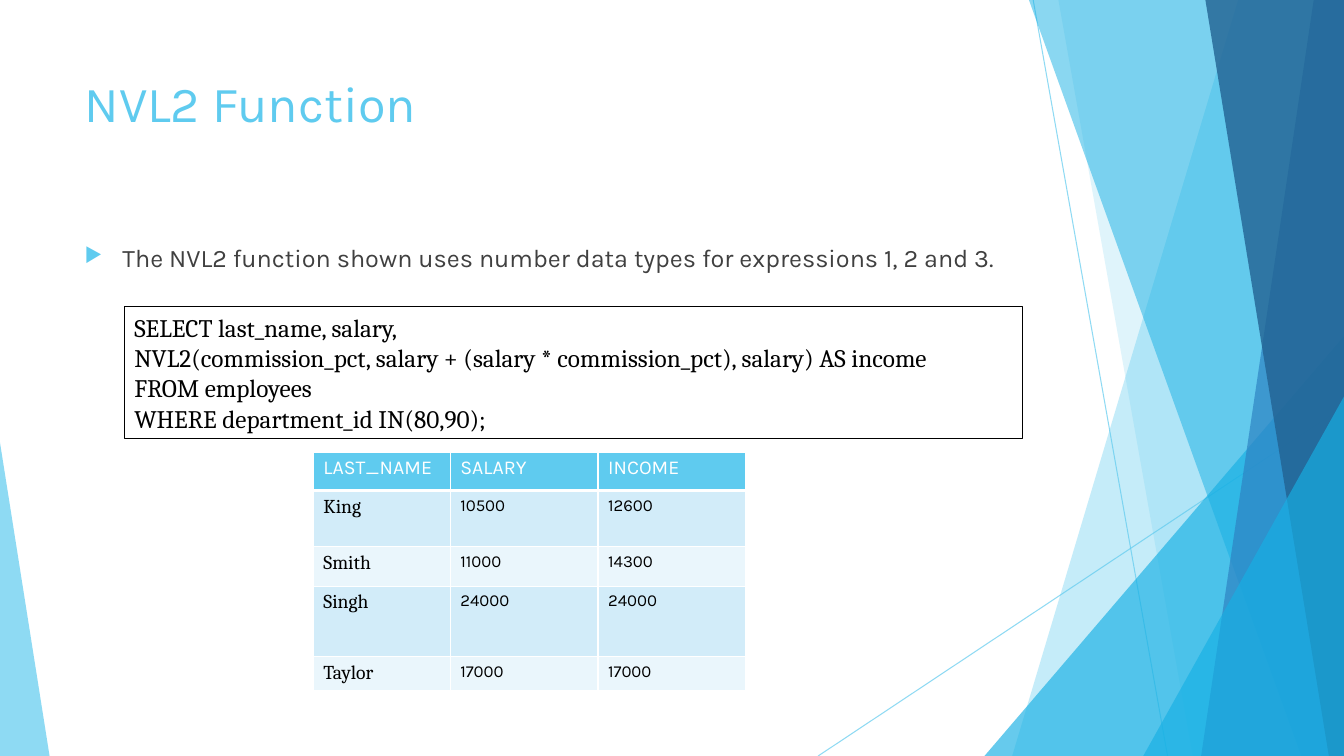
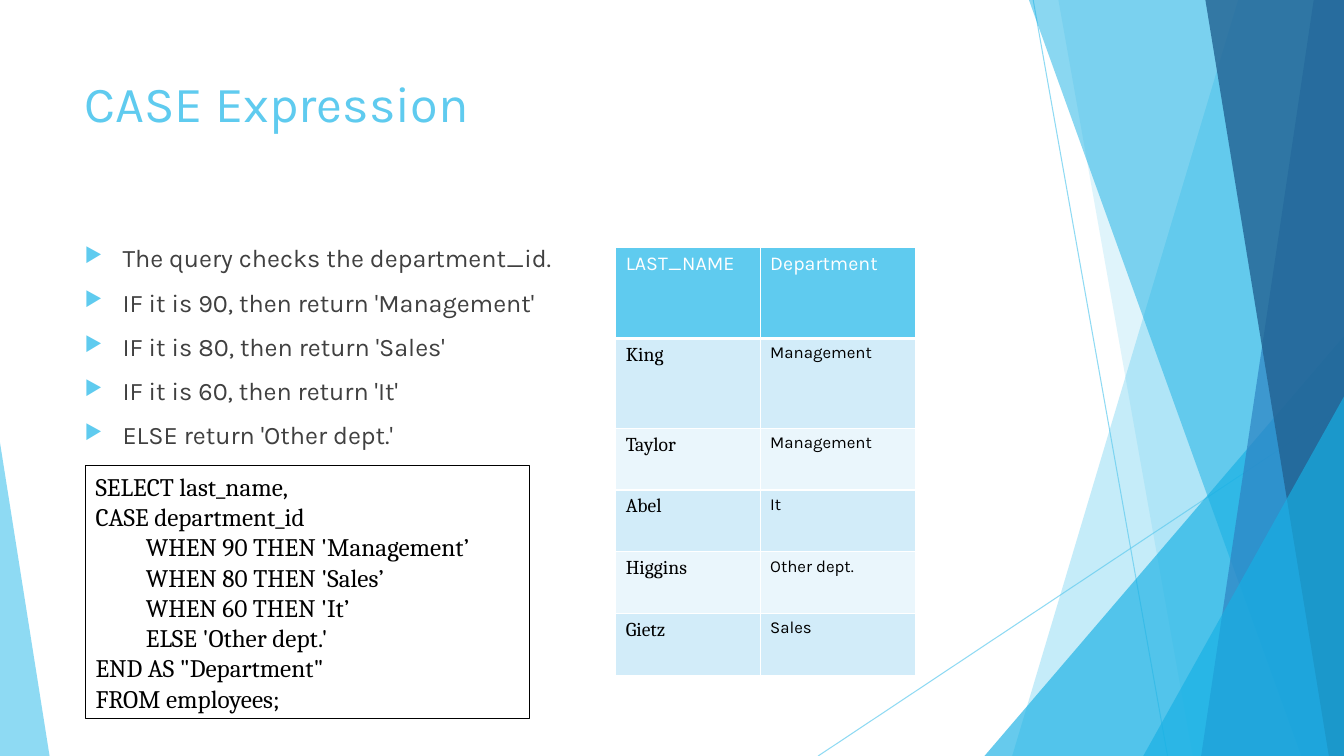
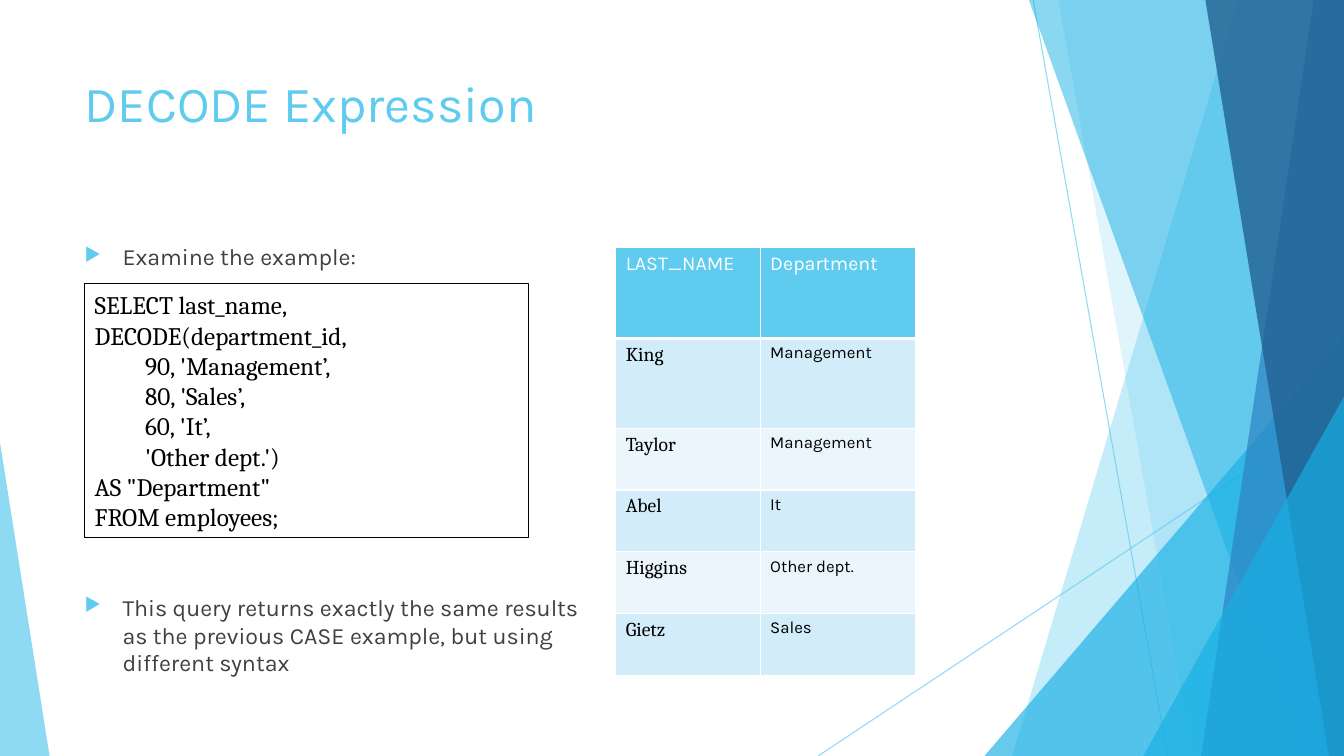
import lxml.etree
import pptx
import pptx.dml.color
import pptx.enum.shapes
import pptx.enum.text
import pptx.oxml.ns
import pptx.util


class Theme:
    sky, azure, blue, navy = "5FCBEF", "17B0E4", "2E83C3", "226292"
    white, black, body = "FFFFFF", "000000", "404040"
    row_fills = ("EAF6FC", "D2ECF9")
    sans, serif = "Karla", "Cambria"
    title_size, text_size, small_text_size = 36, 18, 16.6
    label_size, value_size = 14, 12
    hairline, border, header_rule = 0.75, 1, 3


# Grid of 160 square columns by 90 rows
COLUMNS, ROWS = 160, 90
CELL = pptx.util.Inches(1 / 12)
qn = pptx.oxml.ns.qn
rgb = pptx.dml.color.RGBColor.from_string
shape_types = pptx.enum.shapes.MSO_SHAPE


def grid(*counts):
    return [pptx.util.Emu(round(count * CELL)) for count in counts]


def set_text(text_frame, lines, size, font, color):
    text_frame.word_wrap = True
    text_frame.text = "\n".join(lines)
    for paragraph in text_frame.paragraphs:
        paragraph.alignment = pptx.enum.text.PP_ALIGN.LEFT
        for run in paragraph.runs:
            run.font.size = pptx.util.Pt(size)
            run.font.name = font
            run.font.bold = False
            run.font.color.rgb = rgb(color)


# Shared background: lines as start and end, panels from back to front
background_lines = [(123, 0, 139, ROWS), (COLUMNS, 48.4, 97.4, ROWS)]
line_opacity = 70
# band: top left and bottom left columns; triangle: left, right, top, apex
background_panels = [
    ("band", (147.4, 120.5), Theme.sky, 36),
    ("band", (126, 142), Theme.sky, 20),
    ("triangle", (117.2, COLUMNS, 40, 1), Theme.azure, 66),
    ("band", (122.5, 154.9), Theme.azure, 50),
    ("band", (156.4, 143), Theme.blue, 70),
    ("band", (143.5, 158.2), Theme.navy, 80),
    ("triangle", (136.1, COLUMNS, 47.2, 1), Theme.azure, 66),
    ("triangle", (0, 5.9, 52.7, 0), Theme.sky, 70),
]

# Slide content
department_table = {
    "at": (73.3, 29.5),
    "columns": (17.2, 18.5),
    "rows": (10.8, 10.7) + (7.35,) * 4,
    "cells": [
        ("LAST_NAME", "Department"),
        ("King", "Management"),
        ("Taylor", "Management"),
        ("Abel", "It"),
        ("Higgins", "Other dept."),
        ("Gietz", "Sales"),
    ],
}
slides = [
    {
        "title": "NVL2 Function",
        "bullet_size": Theme.text_size,
        "bullet_boxes": [
            ((8.9, 28.3, 112.8, 5), [
                "The NVL2 function shown uses number data types for expressions 1, 2 and 3.",
            ]),
        ],
        "code_box": (14.8, 36.5, 106.9, 15.7),
        "code": [
            "SELECT last_name, salary,",
            "NVL2(commission_pct, salary + (salary * commission_pct), salary) AS income",
            "FROM employees",
            "WHERE department_id IN(80,90);",
        ],
        "table": {
            "at": (37.3, 53.8),
            "columns": (16.3, 17.6, 17.6),
            "rows": (4.6, 6.7, 4.7, 8.4, 3.2),
            "cells": [
                ("LAST_NAME", "SALARY", "INCOME"),
                ("King", "10500", "12600"),
                ("Smith", "11000", "14300"),
                ("Singh", "24000", "24000"),
                ("Taylor", "17000", "17000"),
            ],
        },
    },
    {
        "title": "CASE Expression",
        "bullet_size": Theme.text_size,
        "bullet_boxes": [
            ((8.9, 28.3, 62, 26), [
                "The query checks the department_id.",
                "IF it is 90, then return 'Management'",
                "IF it is 80, then return 'Sales'",
                "IF it is 60, then return 'It'",
                "ELSE return 'Other dept.'",
            ]),
        ],
        "code_box": (10.2, 55.4, 52.8, 30.2),
        "code": [
            "SELECT last_name,",
            "CASE department_id",
            "\tWHEN 90 THEN 'Management’",
            "\tWHEN 80 THEN 'Sales’",
            "\tWHEN 60 THEN 'It’",
            "\tELSE 'Other dept.'",
            'END AS "Department"',
            "FROM employees;",
        ],
        "table": department_table,
    },
    {
        "title": "DECODE Expression",
        "bullet_size": Theme.small_text_size,
        "bullet_boxes": [
            ((8.9, 28.3, 61.8, 5), ["Examine the example:"]),
            ((8.9, 70, 61.8, 11), [
                "This query returns exactly the same results as the previous "
                "CASE example, but using different syntax",
            ]),
        ],
        "code_box": (10.1, 33.8, 52.8, 30.2),
        "code": [
            "SELECT last_name,",
            "DECODE(department_id,",
            "\t90, 'Management’,",
            "\t80, 'Sales’,",
            "\t60, 'It’,",
            "\t'Other dept.')",
            'AS "Department"',
            "FROM employees;",
        ],
        "table": department_table,
    },
]

presentation = pptx.Presentation()
presentation.slide_width, presentation.slide_height = grid(COLUMNS, ROWS)

for content in slides:
    slide = presentation.slides.add_slide(presentation.slide_layouts[6])
    shapes = slide.shapes

    # Background lines
    translucent = []
    for ends in background_lines:
        connector = shapes.add_connector(
            pptx.enum.shapes.MSO_CONNECTOR.STRAIGHT, *grid(*ends))
        connector.line.color.rgb = rgb(Theme.sky)
        connector.line.width = pptx.util.Pt(Theme.hairline)
        lxml.etree.SubElement(connector.element.spPr, qn("a:effectLst"))
        translucent.append((connector, line_opacity))

    # Background panels
    for kind, geometry, color, opacity in background_panels:
        if kind == "band":
            top_left, bottom_left = geometry
            corners = [(COLUMNS, 0), (COLUMNS, ROWS), (bottom_left, ROWS)]
            outline = shapes.build_freeform(*grid(top_left, 0))
            outline.add_line_segments([grid(*corner) for corner in corners])
            panel = outline.convert_to_shape()
        else:
            left, right, top, apex = geometry
            panel = shapes.add_shape(
                shape_types.ISOSCELES_TRIANGLE,
                *grid(left, top, right - left, ROWS - top))
            panel.adjustments[0] = apex
        panel.shadow.inherit = False
        panel.fill.solid()
        panel.fill.fore_color.rgb = rgb(color)
        panel.line.fill.background()
        translucent.append((panel, opacity))

    # Opacity of lines and panels
    for shape, opacity in translucent:
        for color_element in shape.element.iter(qn("a:srgbClr")):
            lxml.etree.SubElement(
                color_element, qn("a:alpha"), val=str(opacity * 1000))

    # Title
    title = shapes.add_textbox(*grid(8.9, 8, 112.8, 17.3))
    set_text(title.text_frame, [content["title"]],
             Theme.title_size, Theme.sans, Theme.sky)

    # Bullets
    for position, lines in content["bullet_boxes"]:
        text_frame = shapes.add_textbox(*grid(*position)).text_frame
        set_text(text_frame, lines,
                 content["bullet_size"], Theme.sans, Theme.body)
        indent = grid(4.5)[0]
        for index, paragraph in enumerate(text_frame.paragraphs):
            paragraph.space_before = pptx.util.Pt(10 if index else 0)
            properties = paragraph._p.get_or_add_pPr()
            properties.set("marL", str(indent))
            properties.set("indent", str(-indent))
            bullet_color = lxml.etree.SubElement(properties, qn("a:buClr"))
            lxml.etree.SubElement(
                bullet_color, qn("a:srgbClr"), val=Theme.sky)
            lxml.etree.SubElement(properties, qn("a:buSzPct"), val="80000")
            lxml.etree.SubElement(properties, qn("a:buChar"), char="▶")

    # Code box
    code_box = shapes.add_shape(
        shape_types.RECTANGLE, *grid(*content["code_box"]))
    code_box.shadow.inherit = False
    code_box.fill.background()
    code_box.line.color.rgb = rgb(Theme.black)
    code_box.line.width = pptx.util.Pt(Theme.hairline)
    set_text(code_box.text_frame, content["code"],
             Theme.text_size, Theme.serif, Theme.black)
    code_box.text_frame.auto_size = pptx.enum.text.MSO_AUTO_SIZE.SHAPE_TO_FIT_TEXT
    for paragraph in code_box.text_frame.paragraphs:
        if paragraph.text.startswith("\t"):
            tabs = lxml.etree.SubElement(
                paragraph._p.get_or_add_pPr(), qn("a:tabLst"))
            lxml.etree.SubElement(
                tabs, qn("a:tab"), pos=str(grid(6)[0]), algn="l")

    # Table
    layout = content["table"]
    widths, heights = layout["columns"], layout["rows"]
    table = shapes.add_table(
        len(heights), len(widths),
        *grid(*layout["at"], sum(widths), sum(heights))).table
    table.horz_banding = False
    for column, width in zip(table.columns, grid(*widths)):
        column.width = width
    for row, height in zip(table.rows, grid(*heights)):
        row.height = height
    for row_index, values in enumerate(layout["cells"]):
        for column_index, value in enumerate(values):
            cell = table.cell(row_index, column_index)
            is_header, is_name = row_index == 0, column_index == 0
            set_text(
                cell.text_frame, [value],
                Theme.label_size if is_header or is_name else Theme.value_size,
                Theme.serif if is_name and not is_header else Theme.sans,
                Theme.white if is_header else Theme.black)
            # Borders come before the fill in the cell properties
            properties = cell._tc.get_or_add_tcPr()
            for side in ("L", "R", "T", "B"):
                heavy = is_header and side == "B"
                width = Theme.header_rule if heavy else Theme.border
                border = lxml.etree.SubElement(
                    properties, qn(f"a:ln{side}"), w=str(pptx.util.Pt(width)))
                border_fill = lxml.etree.SubElement(border, qn("a:solidFill"))
                lxml.etree.SubElement(
                    border_fill, qn("a:srgbClr"), val=Theme.white)
            cell.fill.solid()
            cell.fill.fore_color.rgb = rgb(
                Theme.sky if is_header else Theme.row_fills[row_index % 2])

presentation.save("out.pptx")
